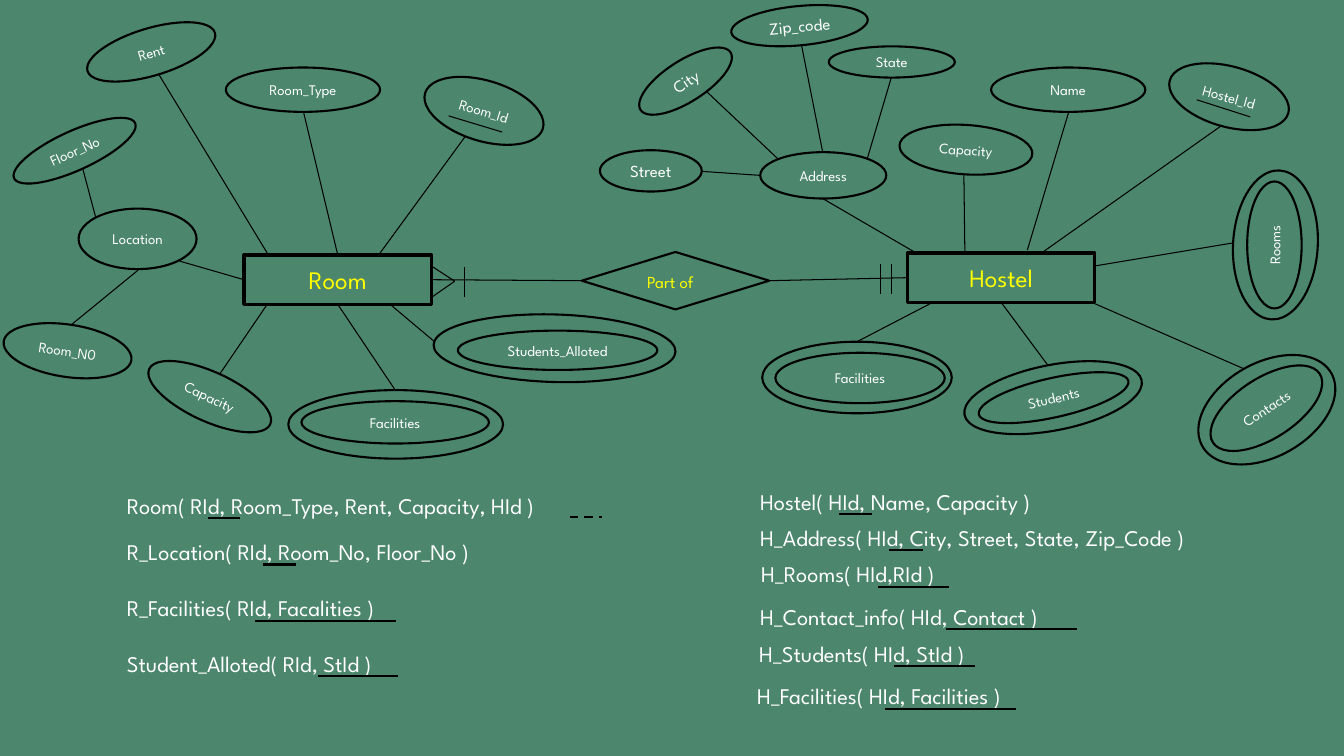
from lxml import etree
from pptx import Presentation
from pptx.dml.color import RGBColor
from pptx.enum.dml import MSO_LINE_DASH_STYLE as Dash
from pptx.enum.shapes import MSO_CONNECTOR as Connector, MSO_SHAPE as Preset
from pptx.enum.text import MSO_ANCHOR as Anchor, MSO_AUTO_SIZE as AutoSize, PP_ALIGN as Align
from pptx.oxml.ns import qn
from pptx.util import Inches, Pt

FONT = "League Spartan"
BACKGROUND, BLACK, WHITE, YELLOW = "4B866D", "000000", "FFFFFF", "FFFF00"
TOP, LEFT, BOTTOM, RIGHT = range(4)

# Attributes: text, left, top, width, height, rotation, size
# Rings around multivalued attributes: left, top, width, height, rotation
# Links: start x, start y, end x, end y, side of the entity whose middle is met
ROOM = {
    "name": "Room",
    "entity": (2.42, 2.53, 1.86, 0.49),
    "attributes": [
        ("Room_Id", 4.19, 0.8, 1.22, 0.6, 16.8, 10.5),
        ("Room_Type", 2.24, 0.67, 1.53, 0.44, 0, 10.5),
        ("Students_Alloted", 4.54, 3.28, 1.98, 0.39, 0, 10.5),
        ("Facilities", 2.99, 3.98, 1.86, 0.42, 0, 10.5),
        ("Capacity", 1.42, 3.69, 1.32, 0.49, 24.6, 10.5),
        ("Location", 0.78, 2.07, 1.17, 0.6, 0, 10.5),
        ("Room_N0", 0.03, 3.22, 1.28, 0.52, 8.4, 10.5),
        ("Floor_No", 0.08, 1.3, 1.32, 0.39, 335.5, 10.5),
        ("Rent", 0.84, 0.28, 1.32, 0.47, 343.3, 10.5),
    ],
    "rings": [(4.3, 3.12, 2.4, 0.67, 1.6), (2.86, 3.87, 2.13, 0.68, 0)],
    "links": [
        (4.61, 1.36, 3.77, 2.51, None),
        (3.01, 1.11, 3.34, 2.53, TOP),
        (4.31, 3.39, 3.87, 3.02, None),
        (3.92, 3.87, 3.34, 3.02, BOTTOM),
        (2.18, 3.71, 2.65, 3.02, None),
        (1.78, 2.59, 2.42, 2.77, LEFT),
        (1.37, 2.68, 0.71, 3.22, None),
        (0.82, 1.67, 0.95, 2.16, None),
        (1.57, 0.73, 2.65, 2.51, None),
    ],
    "key": (4.45, 1.15, 4.98, 1.31),
}
HOSTEL = {
    "name": "Hostel",
    "entity": (4, 2.51, 1.86, 0.49),
    "attributes": [
        ("Hostel_Id", 6.58, 0.66, 1.22, 0.6, 15.4, 10.5),
        ("Name", 4.83, 0.67, 1.53, 0.44, 0, 10.5),
        ("Students", 4.69, 3.75, 1.52, 0.39, 347.4, 10.5),
        ("Facilities", 2.69, 3.5, 1.68, 0.5, 0, 10.5),
        ("Capacity", 3.92, 1.24, 1.32, 0.49, 3.8, 10.5),
        ("Address", 2.54, 1.51, 1.25, 0.46, 0, 10.5),
        ("Zip_code", 2.25, 0.06, 1.36, 0.39, 354.6, 12),
        ("Street", 0.95, 1.49, 1.01, 0.41, 0, 12),
        ("State", 3.22, 0.46, 1.25, 0.31, 0, 10.5),
        ("City", 1.27, 0.6, 1.06, 0.41, 327.4, 12),
        ("Rooms", 7.01, 2.16, 1.26, 0.54, 270, 10.5),
        ("Contacts", 6.93, 3.75, 1.26, 0.6, 327.2, 10.5),
    ],
    "rings": [
        (4.55, 3.62, 1.79, 0.65, 349),
        (2.56, 3.39, 1.88, 0.71, 0),
        (6.91, 2.01, 1.48, 0.84, 273.2),
        (6.83, 3.6, 1.47, 0.93, 330.4),
    ],
    "links": [
        (7.11, 1.25, 5.33, 2.51, None),
        (5.6, 1.11, 5.19, 2.48, None),
        (5.39, 3.62, 4.93, 3, BOTTOM),
        (3.5, 3.39, 4.25, 3, None),
        (4.56, 1.73, 4.57, 2.5, None),
        (3.16, 1.97, 4.07, 2.5, None),
        (3.16, 1.51, 2.95, 0.45, None),
        (1.96, 1.7, 2.54, 1.74, None),
        (3.84, 0.77, 3.6, 1.58, None),
        (2.01, 0.91, 2.72, 1.58, None),
        (7.23, 2.41, 5.85, 2.64, None),
        (7.34, 3.66, 5.83, 3, None),
    ],
    "key": (6.87, 0.99, 7.4, 1.16),
}
# Relations: text, left, top, width, underline start, underline end
ROOM_RELATIONS = [
    ("Room( RId, Room_Type, Rent, Capacity, HId )", 0, 0, 5.15, 0.9, 1.22),
    ("R_Location( RId, Room_No, Floor_No )", 0, 0.46, 5.42, 1.45, 1.78),
    ("R_Facilities( RId, Facalities )", 0, 1.02, 5.42, 1.37, 2.77),
    ("Student_Alloted( RId, StId )", 0, 1.57, 5.42, 1.99, 2.79),
]
HOSTEL_RELATIONS = [
    ("Hostel( HId, Name, Capacity )", 0, 0, 4.96, 0.88, 1.21),
    ("H_Address( HId, City, Street, State, Zip_Code )", 0, 0.36, 5.09, 1.38, 1.71),
    ("H_Rooms( HId,RId )", 0.01, 0.72, 5.33, 1.27, 1.97),
    ("H_Contact_info( HId, Contact )", 0, 1.14, 5.33, 1.94, 3.24),
    ("H_Students( HId, StId )", -0.01, 1.51, 5.33, 1.43, 2.23),
    ("H_Facilities( HId, Facilities )", -0.03, 1.93, 5.89, 1.34, 2.64),
]
UNDERLINE_DROP = 0.31


def color(value):
    return RGBColor.from_string(value)


def write_text(shape, text, *, size, fill=WHITE, align=Align.LEFT, anchor=Anchor.TOP, wrap=True):
    frame = shape.text_frame
    frame.word_wrap = wrap
    frame.vertical_anchor = anchor
    paragraph = frame.paragraphs[0]
    paragraph.alignment = align
    run = paragraph.add_run()
    run.text = text
    run.font.name = FONT
    run.font.size = Pt(size)
    run.font.color.rgb = color(fill)


def add_outline(slide, preset, left, top, width, height, *, rotation=0, weight=1.5):
    """Add an unfilled shape with a black outline."""
    shape = slide.shapes.add_shape(preset, Inches(left), Inches(top), Inches(width), Inches(height))
    shape.rotation = rotation
    shape.shadow.inherit = False
    shape.fill.background()
    shape.line.color.rgb = color(BLACK)
    shape.line.width = Pt(weight)
    return shape


def add_line(slide, x1, y1, x2, y2, *, weight=0.75):
    line = slide.shapes.add_connector(
        Connector.STRAIGHT, Inches(x1), Inches(y1), Inches(x2), Inches(y2))
    line.line.color.rgb = color(BLACK)
    line.line.width = Pt(weight)
    etree.SubElement(line._element.spPr, qn("a:effectLst"))
    return line


def add_label(slide, text, left, top, width, height, **text_format):
    box = slide.shapes.add_textbox(Inches(left), Inches(top), Inches(width), Inches(height))
    write_text(box, text, **text_format)
    box.text_frame.auto_size = AutoSize.SHAPE_TO_FIT_TEXT


def add_entity_diagram(slide, x, y, diagram):
    """Draw an entity with its attributes and return the entity's rectangle."""
    left, top, width, height = diagram["entity"]
    entity = add_outline(slide, Preset.RECTANGLE, x + left, y + top, width, height, weight=2.25)
    write_text(entity, diagram["name"], size=18, fill=YELLOW, align=Align.CENTER, anchor=Anchor.MIDDLE)
    for text, left, top, width, height, rotation, size in diagram["attributes"]:
        attribute = add_outline(
            slide, Preset.OVAL, x + left, y + top, width, height, rotation=rotation)
        write_text(attribute, text, size=size, align=Align.CENTER, anchor=Anchor.MIDDLE)
    for left, top, width, height, rotation in diagram["rings"]:
        add_outline(slide, Preset.OVAL, x + left, y + top, width, height, rotation=rotation)
    for x1, y1, x2, y2, side in diagram["links"]:
        link = add_line(slide, x + x1, y + y1, x + x2, y + y2)
        if side is not None:
            link.end_connect(entity, side)
    x1, y1, x2, y2 = diagram["key"]
    add_line(slide, x + x1, y + y1, x + x2, y + y2)
    return entity


def add_relationship(slide, x, y, many, one):
    """Join the two entities through a diamond, with cardinality marks."""
    diamond = add_outline(slide, Preset.FLOWCHART_DECISION, x + 1.77, y, 1.86, 0.57)
    add_label(slide, "Part of", x + 2.32, y + 0.15, 0.74, 0.3, size=12, fill=YELLOW, wrap=False)
    to_many = add_line(slide, x + 1.77, y + 0.28, x + 0.28, y + 0.28)
    to_many.begin_connect(diamond, LEFT)
    to_many.end_connect(many, RIGHT)
    to_one = add_line(slide, x + 5, y + 0.26, x + 3.63, y + 0.28)
    to_one.begin_connect(one, LEFT)
    to_one.end_connect(diamond, RIGHT)
    for toe in (0.14, 0.45):
        add_line(slide, x + 0.51, y + 0.29, x + 0.28, y + toe)
    for bar, top in ((0.61, 0.15), (4.73, 0.12), (4.84, 0.12)):
        add_line(slide, x + bar, y + top, x + bar, y + top + 0.3)


def add_relations(slide, x, y, relations):
    """List the relations with their keys underlined."""
    for text, left, top, width, start, end in relations:
        add_label(slide, text, x + left, y + top, width, 0.37, size=16)
        base = y + top + UNDERLINE_DROP
        add_line(slide, x + start, base, x + end, base, weight=1.5)


def main():
    presentation = Presentation()
    presentation.slide_width, presentation.slide_height = Inches(13.33), Inches(7.5)
    slide = presentation.slides.add_slide(presentation.slide_layouts[6])
    slide.background.fill.solid()
    slide.background.fill.fore_color.rgb = color(BACKGROUND)
    room = add_entity_diagram(slide, 0, 0, ROOM)
    hostel = add_entity_diagram(slide, 5, 0, HOSTEL)
    add_relationship(slide, 4, 2.5, room, hostel)
    add_relations(slide, 1.16, 4.83, ROOM_RELATIONS)
    add_relations(slide, 7.44, 4.79, HOSTEL_RELATIONS)
    foreign_key = add_line(slide, 5.65, 5.13, 5.97, 5.13, weight=1.5)
    foreign_key.line.dash_style = Dash.DASH
    presentation.save("out.pptx")


if __name__ == "__main__":
    main()
